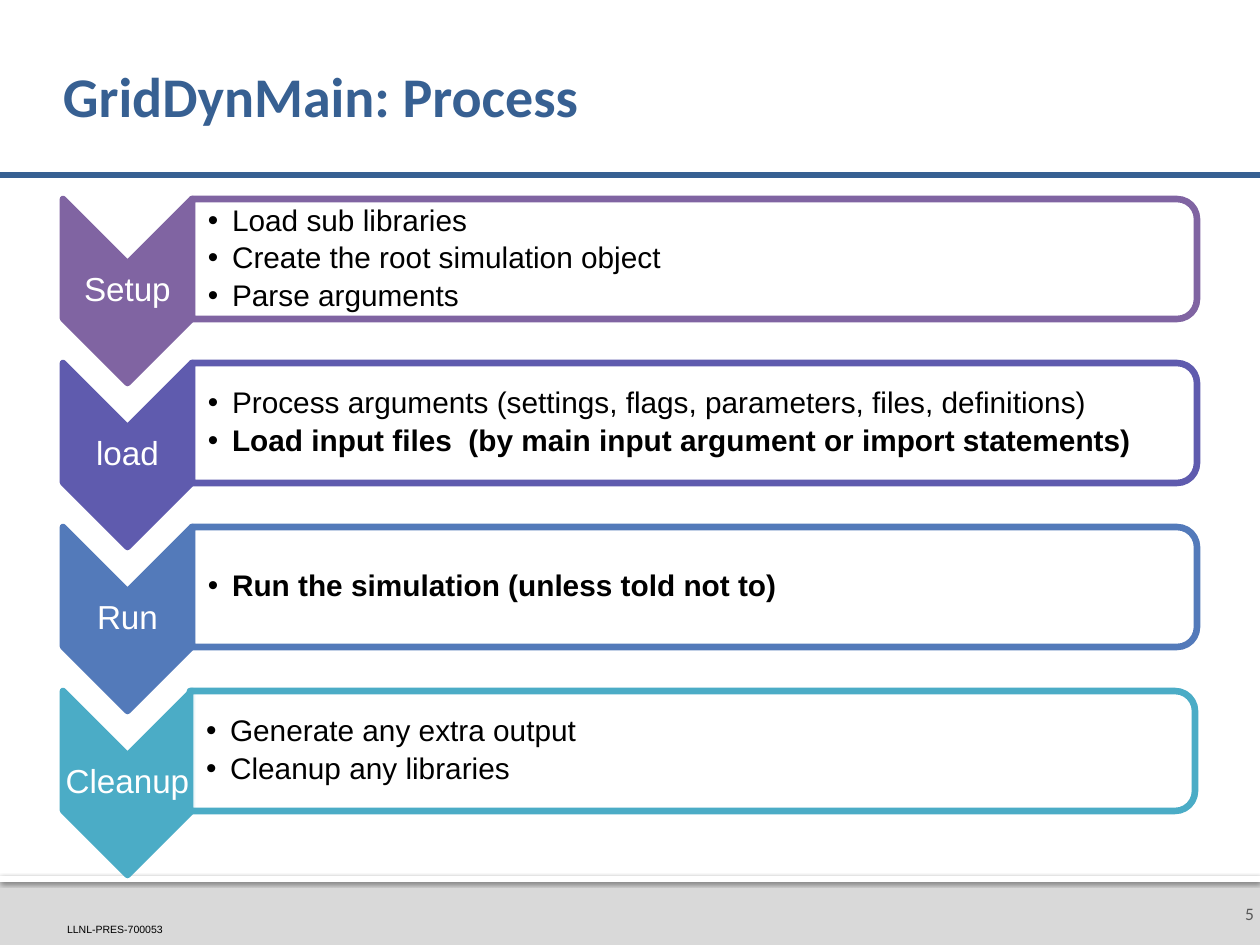
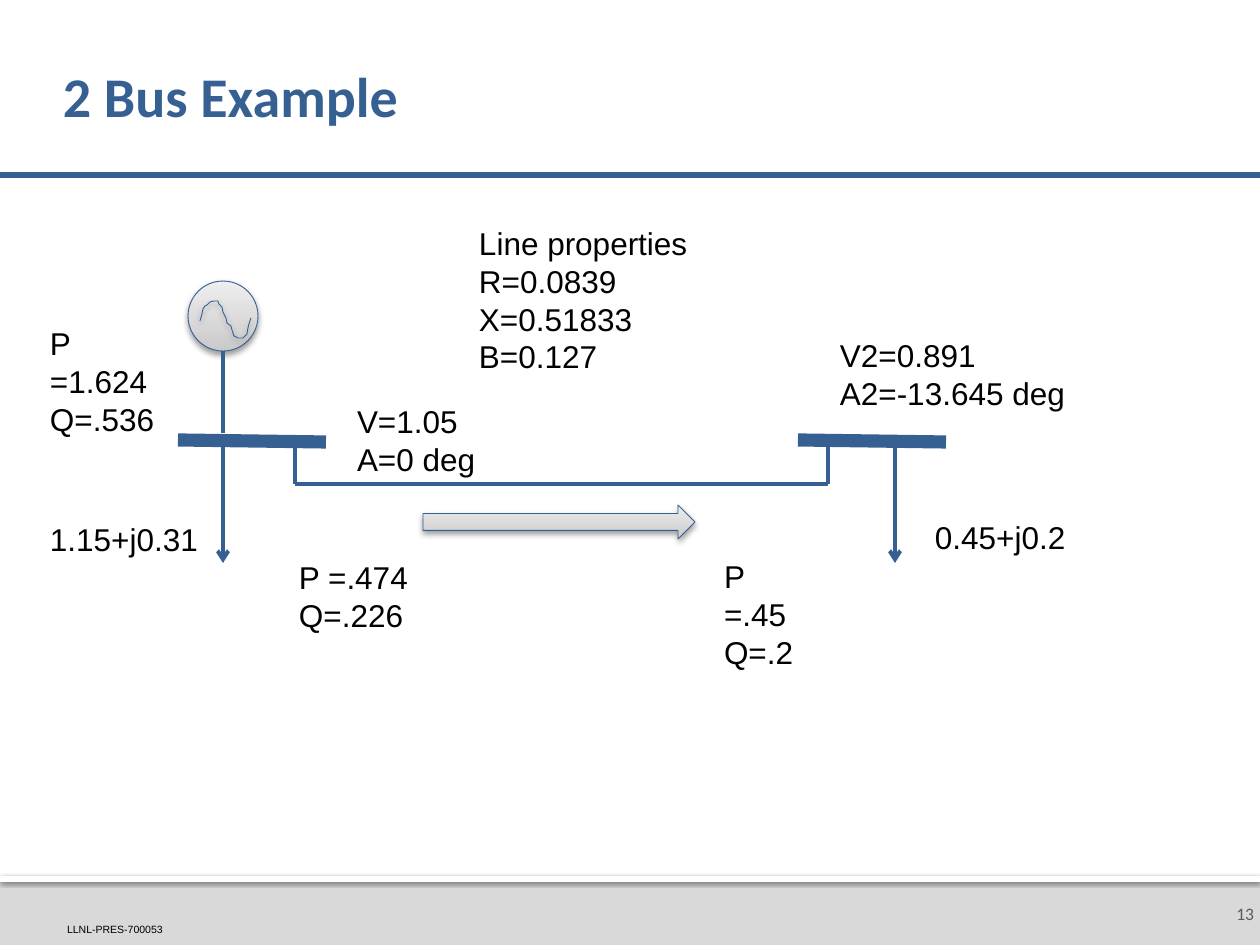
from collections import namedtuple

from lxml import etree
from pptx import Presentation
from pptx.dml.color import RGBColor
from pptx.enum.shapes import MSO_CONNECTOR, MSO_SHAPE
from pptx.enum.text import MSO_ANCHOR, MSO_AUTO_SIZE, PP_ALIGN
from pptx.oxml.ns import qn
from pptx.util import Emu, Pt

EMU_PER_PX = 914400 / 126
PAGE_WIDTH, PAGE_HEIGHT = 1260, 945

BLUE, BLACK, WHITE = "376092", "000000", "FFFFFF"
BAND_GREY, NUMBER_GREY = "D9D9D9", "595959"
GRADIENT = ("CACACA", "EEEEEE")
BAND_SHADOW = (60, 2.5, 0.8)  # opacity %, blur pt, distance pt
SOFT_SHADOW = (38, 3.5, 2)


class Box(namedtuple("Box", "left top width height")):
    def inside(self, left, top, width=0, height=0):
        return Box(self.left + left, self.top + top, width, height)


def px(length):
    return Emu(round(length * EMU_PER_PX))


def color(hex_text):
    return RGBColor.from_string(hex_text)


def child(parent, tag, **attributes):
    element = etree.SubElement(parent, qn(tag))
    for name, value in attributes.items():
        element.set(name, str(value))
    return element


def set_shadow(shape, opacity, blur, distance):
    shape.shadow.inherit = False
    effects = shape._element.spPr.find(qn("a:effectLst"))
    outer = child(effects, "a:outerShdw", blurRad=Pt(blur), dist=Pt(distance),
                  dir=5400000, algn="ctr", rotWithShape=0)
    child(child(outer, "a:srgbClr", val=BLACK), "a:alpha", val=opacity * 1000)


def add_shape(page, kind, box, fill=None, line=None, width=0.5, shadow=None):
    shape = page.shapes.add_shape(kind, *map(px, box))
    if fill:
        shape.fill.solid()
        shape.fill.fore_color.rgb = color(fill)
    else:
        shape.fill.gradient()
        shape.fill.gradient_angle = 90
        for stop, shade in zip(shape.fill.gradient_stops, GRADIENT):
            stop.color.rgb = color(shade)
    if line:
        shape.line.color.rgb = color(line)
        shape.line.width = Pt(width)
    else:
        shape.line.fill.background()
    if shadow:
        set_shadow(shape, *shadow)
    else:
        shape.shadow.inherit = False
    return shape


def add_turned_shape(page, kind, box, fill, line):
    """Fill the box with a shape that is turned a quarter clockwise."""
    shift = (box.width - box.height) / 2
    upright = Box(box.left + shift, box.top - shift, box.height, box.width)
    shape = add_shape(page, kind, upright, fill, line, 3.78)
    shape.rotation = 90
    return shape


def add_line(page, start, end, width=2.25, arrow=False):
    line = page.shapes.add_connector(MSO_CONNECTOR.STRAIGHT, *map(px, (*start, *end)))
    line.line.color.rgb = color(BLUE)
    line.line.width = Pt(width)
    if arrow:
        child(line.line._get_or_add_ln(), "a:tailEnd", type="arrow")
    child(line._element.spPr, "a:effectLst")


def add_text(page, box, lines, size, ink=BLACK, font="Arial", bold=(), insets=(0, 0, 0, 0),
             anchor=MSO_ANCHOR.MIDDLE, align=PP_ALIGN.LEFT, spacing=None, after=0,
             bullets=False, wrap=True):
    frame = page.shapes.add_textbox(*map(px, box)).text_frame
    frame.word_wrap = wrap
    if not wrap:
        frame.auto_size = MSO_AUTO_SIZE.SHAPE_TO_FIT_TEXT
    frame.vertical_anchor = anchor
    (frame.margin_left, frame.margin_top,
     frame.margin_right, frame.margin_bottom) = map(px, insets)
    for index, line in enumerate(lines):
        para = frame.paragraphs[0] if index == 0 else frame.add_paragraph()
        para.text = line
        para.alignment = align
        para.space_after = Pt(after)
        if spacing:
            para.line_spacing = spacing
        if bullets:
            properties = para._p.get_or_add_pPr()
            properties.set("marL", str(px(24)))
            properties.set("indent", str(-px(24)))
            child(properties, "a:buFont", typeface="Arial")
            child(properties, "a:buChar", char="•")
        para.font.name = font
        para.font.size = Pt(size)
        para.font.bold = index in bold
        para.font.color.rgb = color(ink)


def add_page(deck, title, number):
    page = deck.slides.add_slide(deck.slide_layouts[6])
    # Footer band with its code and page number
    footer = Box(0, 876, PAGE_WIDTH, 69)
    add_shape(page, MSO_SHAPE.RECTANGLE, footer, BAND_GREY)
    add_shape(page, MSO_SHAPE.RECTANGLE, footer._replace(height=6), WHITE, shadow=BAND_SHADOW)
    add_text(page, footer.inside(67, 48, 121, 12), ["LLNL-PRES-700053"], 6,
             anchor=MSO_ANCHOR.BOTTOM)
    add_text(page, footer.inside(1216, 6, 44, 63), [str(number)], 10, NUMBER_GREY, "Calibri",
             insets=(13, 6, 6, 6), align=PP_ALIGN.RIGHT)
    # Title and its rule
    add_line(page, (-1, 175), (PAGE_WIDTH, 175), 3)
    add_text(page, Box(63, 30, 1134, 139), [title], 32, BLUE, "Calibri", bold=(0,),
             insets=(0, 6, 6, 6), spacing=0.9)
    return page


def draw_step(page, box, name, tone, tasks, bold, body_left):
    # Chevron with the step's name
    add_turned_shape(page, MSO_SHAPE.CHEVRON, box.inside(0, 0, 129, 184), tone, tone)
    # Panel with the tasks
    panel = box.inside(body_left, 0, 1005, 120)
    shape = add_turned_shape(page, MSO_SHAPE.ROUND_2_SAME_RECTANGLE, panel, WHITE, tone)
    white = shape._element.spPr.find(qn("a:solidFill"))[0]
    child(white, "a:alpha", val=90000)
    add_text(page, box.inside(0, 64, 129, 55), [name], 19, WHITE, insets=(1, 1, 1, 1),
             align=PP_ALIGN.CENTER, spacing=0.9)
    add_text(page, panel.inside(0, 6, 999, 108), tasks, 17, bold=bold,
             insets=(16, 1, 1, 1), spacing=0.9, after=3, bullets=True)


def draw_process(page, box):
    steps = [
        ("Setup", "8064A2", ["Load sub libraries", "Create the root simulation object",
                             "Parse arguments"], (), 129),
        ("load", "5F5BAE",
         ["Process arguments (settings, flags, parameters, files, definitions)",
          "Load input files  (by main input argument or import statements)"], (1,), 129),
        ("Run", "537ABA", ["Run the simulation (unless told not to)"], (0,), 129),
        ("Cleanup", "4BACC6", ["Generate any extra output", "Cleanup any libraries"], (), 127),
    ]
    for row, step in enumerate(steps):
        draw_step(page, box.inside(0, 164 * row), *step)


def draw_bus(page, box, tap, load):
    """Draw a bus bar with its line tap and load arrow at the given offsets."""
    left, top = box.left, box.top
    add_line(page, (left, top), (left + 148, top + 2), 7.5)
    add_line(page, (left + tap, top + 5), (left + tap, top + 44))
    add_line(page, (left + load, top + 5), (left + load, top + 123), arrow=True)


def draw_generator(page, box):
    add_shape(page, MSO_SHAPE.OVAL, box, line=BLUE, shadow=SOFT_SHADOW)
    middle, bottom = box.left + box.width / 2, box.top + box.height
    add_line(page, (middle, bottom), (middle, bottom + 82))
    # Sine wave
    wave = [(12, 40), (14, 33), (15, 28), (17, 25), (19, 24), (22, 21), (26, 20), (30, 20),
            (31, 23), (34, 26), (35, 31), (38, 37), (39, 42), (43, 45), (44, 49), (46, 55),
            (50, 57), (55, 57), (59, 53), (60, 47), (61, 43), (63, 37)]
    builder = page.shapes.build_freeform(*wave[0], scale=EMU_PER_PX)
    builder.add_line_segments(wave[1:], close=False)
    curve = builder.convert_to_shape(px(box.left), px(box.top))
    curve.fill.background()
    curve.line.color.rgb = color(BLUE)
    curve.line.width = Pt(0.5)
    set_shadow(curve, *SOFT_SHADOW)


def draw_circuit(page, box):
    # Buses and the line between them
    first, second = box.inside(141, 222), box.inside(761, 222)
    first_tap, second_tap = 117, 30
    draw_bus(page, first, first_tap, 45)
    draw_bus(page, second, second_tap, 97)
    add_line(page, (first.left + first_tap, first.top + 44),
             (second.left + second_tap, second.top + 44))
    draw_generator(page, box.inside(151, 63, 70, 70))
    # Direction of flow
    add_shape(page, MSO_SHAPE.RIGHT_ARROW, box.inside(386, 287, 272, 34), line=BLUE,
              shadow=SOFT_SHADOW)
    # Values
    labels = [
        (885, 294, 158, ["0.45+j0.2"]),
        (0, 296, 175, ["1.15+j0.31"]),
        (307, 178, 145, ["V=1.05", "A=0 deg"]),
        (429, 0, 236, ["Line properties", "R=0.0839", "X=0.51833", "B=0.127"]),
        (0, 100, 152, ["P =1.624", "Q=.536"]),
        (790, 112, 252, ["V2=0.891", "A2=-13.645 deg"]),
        (249, 334, 135, ["P =.474", "Q=.226"]),
        (674, 333, 117, ["P =.45", "Q=.2"]),
    ]
    for left, top, width, lines in labels:
        add_text(page, box.inside(left, top, width, 12 + 38 * len(lines)), lines, 18,
                 insets=(13, 6, 13, 6), anchor=MSO_ANCHOR.TOP, wrap=False)


def main():
    deck = Presentation()
    deck.slide_width, deck.slide_height = px(PAGE_WIDTH), px(PAGE_HEIGHT)
    draw_process(add_page(deck, "GridDynMain: Process", 5), Box(63, 199, 1134, 676))
    draw_circuit(add_page(deck, "2 Bus Example", 13), Box(37, 218, 1043, 423))
    deck.save("out.pptx")


if __name__ == "__main__":
    main()
